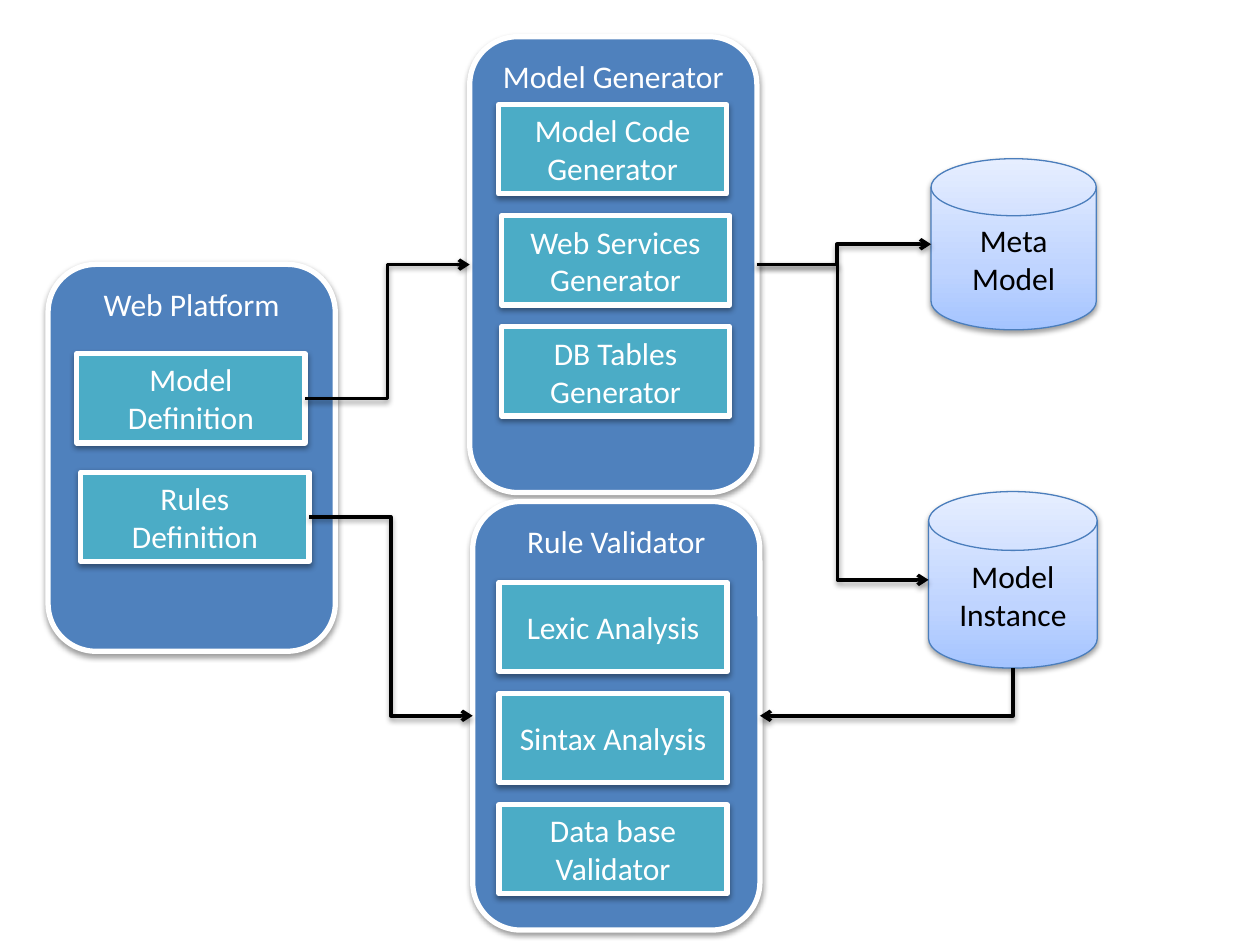
from copy import deepcopy

from lxml import etree
from pptx import Presentation
from pptx.dml.color import RGBColor
from pptx.enum import shapes, text
from pptx.oxml.ns import qn
from pptx.util import Cm, Pt

SHAPE = shapes.MSO_SHAPE
TOP, LEFT, BOTTOM, RIGHT = range(4)
# A can numbers its connection sites differently from a rectangle
CAN_SITES = {LEFT: 2, BOTTOM: 3, RIGHT: 4}
BLOCK_W, BLOCK_H = 4.6, 1.8


def rgb(value):
    return RGBColor.from_string(value)


def add_shadow(sp):
    effects = etree.SubElement(sp._element.spPr, qn("a:effectLst"))
    shadow = etree.SubElement(effects, qn("a:outerShdw"), blurRad="40000",
                              dist="20000", dir="5400000", rotWithShape="0")
    color = etree.SubElement(shadow, qn("a:srgbClr"), val="000000")
    etree.SubElement(color, qn("a:alpha"), val="38000")


def set_line(sp, color, width):
    sp.line.color.rgb = rgb(color)
    sp.line.width = Pt(width)


def set_text(sp, words, color, anchor):
    tf = sp.text_frame
    tf.text = words
    tf.word_wrap = True
    tf.vertical_anchor = anchor
    for p in tf.paragraphs:
        p.alignment = text.PP_ALIGN.CENTER
        for r in p.runs:
            r.font.name = "Calibri"
            r.font.size = Pt(18)
            r.font.color.rgb = rgb(color)


def add_box(slide, kind, box, words, fill, anchor=text.MSO_ANCHOR.MIDDLE):
    sp = slide.shapes.add_shape(kind, *map(Cm, box))
    sp.fill.solid()
    sp.fill.fore_color.rgb = rgb(fill)
    set_line(sp, "FFFFFF", 3)
    add_shadow(sp)
    set_text(sp, words, "FFFFFF", anchor)
    return sp


def add_module(slide, box, title, first_y, step, blocks):
    """Rounded panel with a column of blocks, each given as (x offset, words)."""
    panel = add_box(slide, SHAPE.ROUNDED_RECTANGLE, box, title, "4F81BD",
                    text.MSO_ANCHOR.TOP)
    x, y = box[:2]
    parts = [add_box(slide, SHAPE.RECTANGLE,
                     (x + dx, y + first_y + i * step, BLOCK_W, BLOCK_H),
                     words, "4BACC6")
             for i, (dx, words) in enumerate(blocks)]
    return panel, parts


def add_store(slide, box, words):
    """Data store drawn as a can with a vertical gradient."""
    sp = slide.shapes.add_shape(SHAPE.FLOWCHART_MAGNETIC_DISK, *map(Cm, box))
    sp.fill.gradient()
    sp.fill.gradient_angle = 90
    stops = sp._element.spPr.find(".//" + qn("a:gsLst"))
    stops.append(deepcopy(stops[0]))
    shades = ((0, "A4C4FF"), (0.35, "BFD4FF"), (1, "E6EEFF"))
    for stop, (position, color) in zip(sp.fill.gradient_stops, shades):
        stop.position = position
        stop.color.rgb = rgb(color)
    set_line(sp, "4B7EBC", 0.75)
    add_shadow(sp)
    set_text(sp, words, "000000", text.MSO_ANCHOR.MIDDLE)
    return sp


def side_point(sp, side):
    fx, fy = {TOP: (0.5, 0), LEFT: (0, 0.5), BOTTOM: (0.5, 1), RIGHT: (1, 0.5)}[side]
    return int(sp.left + fx * sp.width), int(sp.top + fy * sp.height)


def site(sp, side):
    is_can = sp.auto_shape_type == SHAPE.FLOWCHART_MAGNETIC_DISK
    return CAN_SITES[side] if is_can else side


def add_arrow(slide, source, out_side, target, in_side, bend=0.5):
    start, end = side_point(source, out_side), side_point(target, in_side)
    c = slide.shapes.add_connector(shapes.MSO_CONNECTOR.ELBOW, *start, *end)
    c.begin_connect(source, site(source, out_side))
    c.end_connect(target, site(target, in_side))
    c.begin_x, c.begin_y = start
    c.end_x, c.end_y = end

    geometry = c._element.spPr.find(qn("a:prstGeom"))
    if out_side == BOTTOM:
        turn_down_then_left(c, geometry, start, end)
    else:
        guides = geometry.find(qn("a:avLst"))
        etree.SubElement(guides, qn("a:gd"), name="adj1",
                         fmla=f"val {round(bend * 100000)}")

    set_line(c, "000000", 2)
    etree.SubElement(c.line._get_or_add_ln(), qn("a:tailEnd"), type="arrow")
    add_shadow(c)
    return c


def turn_down_then_left(c, geometry, start, end):
    """Single bend: the shape is laid out sideways and rotated by 90 degrees."""
    geometry.set("prst", "bentConnector2")
    run, drop = start[0] - end[0], end[1] - start[1]
    c.left = (start[0] + end[0] - drop) // 2
    c.top = (start[1] + end[1] - run) // 2
    c.width, c.height = drop, run
    xfrm = c._element.spPr.find(qn("a:xfrm"))
    for flip in ("flipH", "flipV"):
        xfrm.attrib.pop(flip, None)
    xfrm.set("rot", "5400000")


def build(slide):
    # Modules
    _, (model, rules) = add_module(
        slide, (0.97, 5.33, 5.79, 7.8), "Web Platform", 1.8, 2.39,
        [(0.58, "Model\nDefinition"), (0.66, "Rules\nDefinition")])
    generator, _ = add_module(
        slide, (9.47, 0.74, 5.79, 9.19), "Model Generator", 1.37, 2.24,
        [(0.58, "Model Code Generator"), (0.64, "Web Services Generator"),
         (0.64, "DB Tables Generator")])
    validator, _ = add_module(
        slide, (9.53, 10.11, 5.79, 8.64), "Rule Validator", 1.63, 2.24,
        [(0.53, "Lexic Analysis"), (0.53, "Sintax Analysis"),
         (0.53, "Data base\nValidator")])

    # Data stores
    instance = add_store(slide, (18.72, 9.91, 3.4, 3.56), "Model Instance")
    meta = add_store(slide, (18.77, 3.2, 3.33, 3.45), "Meta Model")

    # Flow
    add_arrow(slide, model, RIGHT, generator, LEFT)
    add_arrow(slide, rules, RIGHT, validator, LEFT)
    add_arrow(slide, generator, RIGHT, meta, LEFT, 0.46)
    add_arrow(slide, generator, RIGHT, instance, LEFT, 0.47)
    add_arrow(slide, instance, BOTTOM, validator, RIGHT)


def main():
    prs = Presentation()
    prs.slide_width, prs.slide_height = Cm(25.4), Cm(19.05)
    build(prs.slides.add_slide(prs.slide_layouts[6]))
    prs.save("out.pptx")


if __name__ == "__main__":
    main()
